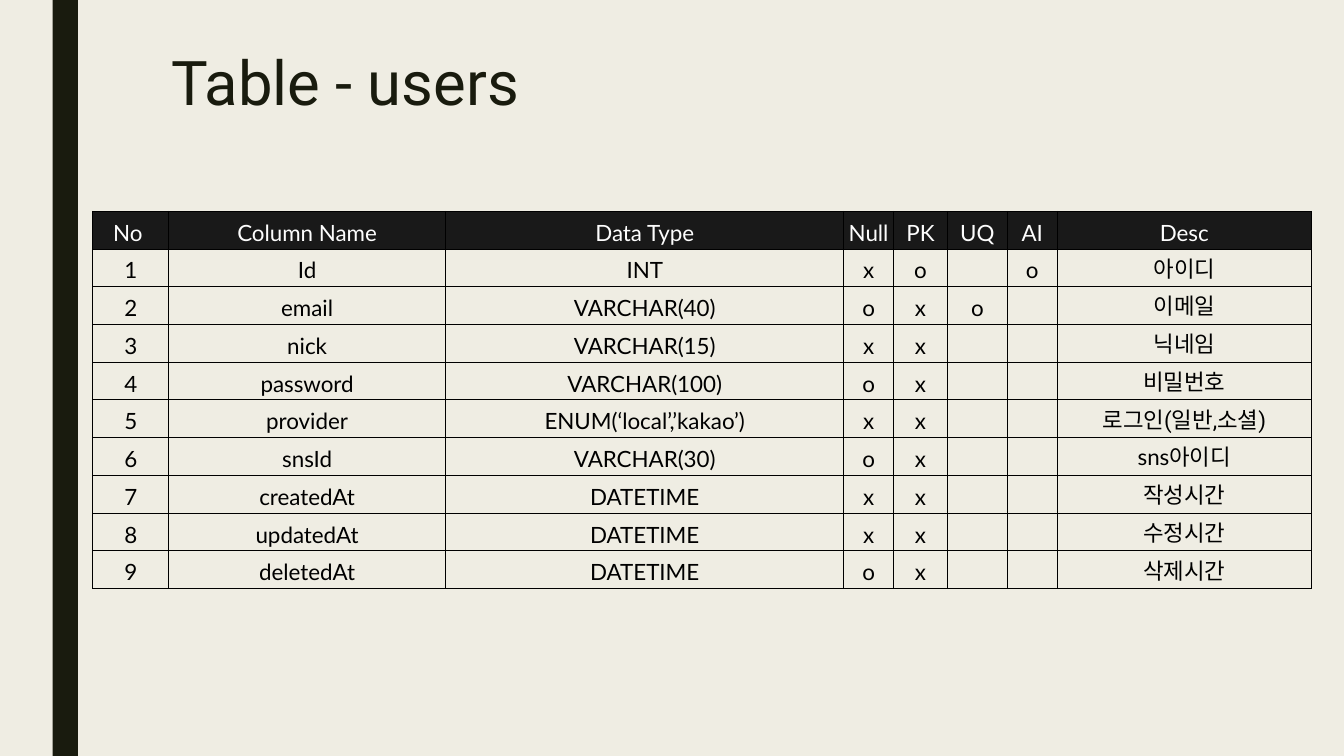
from dataclasses import dataclass

import pptx
import pptx.dml.color
import pptx.enum.shapes
import pptx.enum.text
import pptx.oxml
import pptx.oxml.ns
import pptx.util

Pt = pptx.util.Pt
RGB = pptx.dml.color.RGBColor.from_string
ALIGN = pptx.enum.text.PP_ALIGN
ANCHOR = pptx.enum.text.MSO_ANCHOR


@dataclass(frozen=True)
class Theme:
    background: str = "EFEDE3"
    accent: str = "191B0E"
    header_fill: str = "191919"
    header_text: str = "FDFDFD"
    body_text: str = "000000"
    border: str = "000000"
    title_font: str = "Roboto"
    korean_font: str = "Roboto"
    table_font: str = "Lato"
    title_size: float = 44
    table_size: float = 16
    table_leading: float = 22.4
    cell_margin: float = 2.16
    border_width: float = 0.75


@dataclass(frozen=True)
class Column:
    heading: str
    width: float


@dataclass(frozen=True)
class Field:
    name: str
    data_type: str
    null: str
    pk: str
    uq: str
    ai: str
    desc: str


THEME = Theme()
ROW_HEIGHT = 26.96

COLUMNS = [
    Column("No ", 54),
    Column("Column Name", 198),
    Column("Data Type", 284.4),
    Column("Null", 35.4),
    Column("PK", 38.8),
    Column("UQ", 42.4),
    Column("AI", 36),
    Column("Desc", 181.4),
]

FIELDS = [
    Field("Id", "INT", "x", "o", "", "o", "아이디"),
    Field("email", "VARCHAR(40)", "o", "x", "o", "", "이메일"),
    Field("nick", "VARCHAR(15)", "x", "x", "", "", "닉네임"),
    Field("password", "VARCHAR(100)", "o", "x", "", "", "비밀번호"),
    Field("provider", "ENUM(‘local’,’kakao’)", "x", "x", "", "", "로그인(일반,소셜)"),
    Field("snsId", "VARCHAR(30)", "o", "x", "", "", "sns아이디"),
    Field("createdAt", "DATETIME", "x", "x", "", "", "작성시간"),
    Field("updatedAt", "DATETIME", "x", "x", "", "", "수정시간"),
    Field("deletedAt", "DATETIME", "o", "x", "", "", "삭제시간"),
]


def write(tf, text: str, *, font: str, size: float, color: str, align, spacing) -> None:
    """Fill the first paragraph of a text frame with formatted text."""
    p = tf.paragraphs[0]
    p.alignment = align
    p.line_spacing = spacing
    if text:
        r = p.add_run()
        r.text = text
        r.font.name = font
        r.font.size = Pt(size)
        r.font.color.rgb = RGB(color)


def add_borders(cell) -> None:
    tc_pr = cell._tc.get_or_add_tcPr()
    for side in ("lnL", "lnR", "lnT", "lnB"):
        tc_pr.append(pptx.oxml.parse_xml(
            f'<a:{side} {pptx.oxml.ns.nsdecls("a")} w="{Pt(THEME.border_width)}">'
            f'<a:solidFill><a:srgbClr val="{THEME.border}"/></a:solidFill></a:{side}>'))


def format_cell(cell, text: str, header: bool) -> None:
    cell.vertical_anchor = ANCHOR.MIDDLE
    cell.margin_left = cell.margin_right = Pt(THEME.cell_margin)
    cell.margin_top = cell.margin_bottom = Pt(THEME.cell_margin)
    add_borders(cell)
    if header:
        cell.fill.solid()
        cell.fill.fore_color.rgb = RGB(THEME.header_fill)
    else:
        cell.fill.background()
    korean = "가" <= text[:1] <= "힣"
    write(cell.text_frame, text,
          font=THEME.korean_font if korean else THEME.table_font,
          size=THEME.table_size,
          color=THEME.header_text if header else THEME.body_text,
          align=ALIGN.CENTER, spacing=Pt(THEME.table_leading))


def add_side_bar(s) -> None:
    sp = s.shapes.add_shape(pptx.enum.shapes.MSO_SHAPE.RECTANGLE,
                            Pt(37.6), Pt(0), Pt(18), Pt(540))
    sp.shadow.inherit = False
    sp.fill.solid()
    sp.fill.fore_color.rgb = RGB(THEME.accent)
    sp.line.fill.background()


def add_title(s, text: str) -> None:
    sp = s.shapes.title
    sp.left, sp.top, sp.width, sp.height = Pt(115.2), Pt(34), Pt(756), Pt(116.6)
    tf = sp.text_frame
    tf.auto_size = pptx.enum.text.MSO_AUTO_SIZE.NONE
    tf.vertical_anchor = ANCHOR.TOP
    write(tf, text, font=THEME.title_font, size=THEME.title_size,
          color=THEME.accent, align=ALIGN.LEFT, spacing=0.89)


def add_field_table(s) -> None:
    rows = [[c.heading for c in COLUMNS]]
    rows += [[str(no), f.name, f.data_type, f.null, f.pk, f.uq, f.ai, f.desc]
             for no, f in enumerate(FIELDS, 1)]
    table = s.shapes.add_table(
        len(rows), len(COLUMNS), Pt(66.4), Pt(150.9),
        Pt(sum(c.width for c in COLUMNS)), Pt(ROW_HEIGHT * len(rows))).table
    table.first_row = table.horz_banding = False
    for column, c in zip(table.columns, COLUMNS):
        column.width = Pt(c.width)
    for i, texts in enumerate(rows):
        table.rows[i].height = Pt(ROW_HEIGHT)
        for j, text in enumerate(texts):
            format_cell(table.cell(i, j), text, header=i == 0)


def main() -> None:
    prs = pptx.Presentation()
    prs.slide_width, prs.slide_height = Pt(960), Pt(540)

    # Slide and background
    s = prs.slides.add_slide(prs.slide_layouts.get_by_name("Title Only"))
    s.background.fill.solid()
    s.background.fill.fore_color.rgb = RGB(THEME.background)

    # Content
    add_side_bar(s)
    add_title(s, "Table - users")
    add_field_table(s)
    prs.save("out.pptx")


if __name__ == "__main__":
    main()
